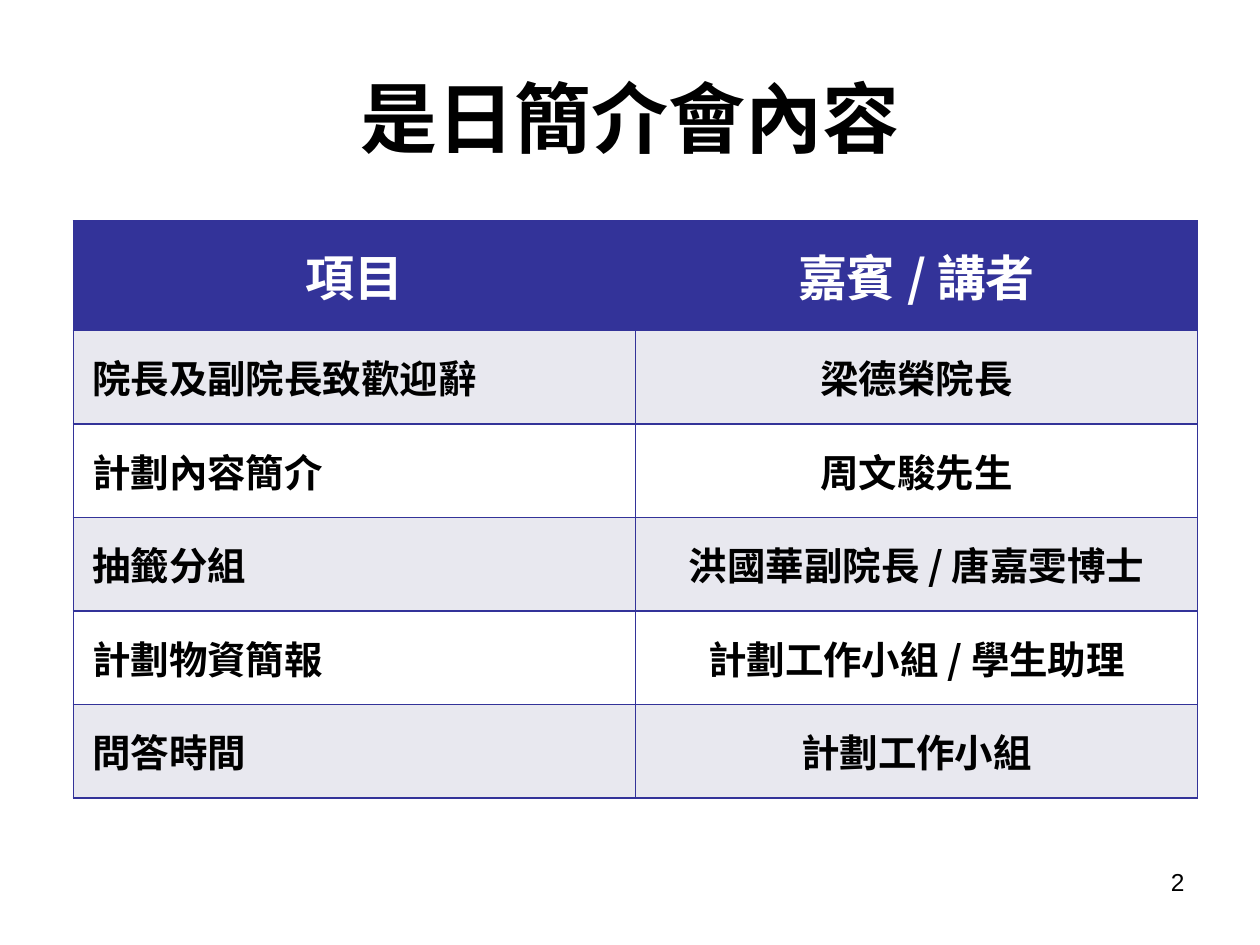
from lxml.etree import SubElement
from pptx import Presentation
from pptx.dml.color import RGBColor
from pptx.enum.text import MSO_ANCHOR, PP_ALIGN
from pptx.oxml.ns import qn
from pptx.util import Cm, Pt

COLORS = {"ink": "000000", "white": "FFFFFF", "navy": "333399", "band": "E8E8EF"}
CJK = "Noto Sans CJK TC"
ROWS = [
    ("項目", "嘉賓 / 講者"),
    ("院長及副院長致歡迎辭", "梁德榮院長"),
    ("計劃內容簡介", "周文駿先生"),
    ("抽籤分組", "洪國華副院長 / 唐嘉雯博士"),
    ("計劃物資簡報", "計劃工作小組 / 學生助理"),
    ("問答時間", "計劃工作小組"),
]


def color(name):
    return RGBColor.from_string(COLORS[name])


def set_text(frame, text, size, align, ink="ink", face=CJK, bold=True):
    frame.text = text
    line = frame.paragraphs[0]
    line.alignment = align
    for run in line.runs:
        font = run.font
        font.size, font.bold, font.name = Pt(size), bold, face
        font.color.rgb = color(ink)
        SubElement(font._element, qn("a:ea"), typeface=face)


def add_text(slide, box, text, size, align, anchor=MSO_ANCHOR.TOP, **style):
    frame = slide.shapes.add_textbox(*map(Cm, box)).text_frame
    frame.word_wrap = True
    frame.vertical_anchor = anchor
    set_text(frame, text, size, align, **style)


def add_edges(cell):
    """Draw a thin navy line on each side of the cell."""
    props = cell._tc.get_or_add_tcPr()
    for at, side in enumerate(("lnL", "lnR", "lnT", "lnB")):
        edge = props.makeelement(qn(f"a:{side}"), {"w": str(Pt(1))})
        fill = SubElement(edge, qn("a:solidFill"))
        SubElement(fill, qn("a:srgbClr"), val=COLORS["navy"])
        props.insert(at, edge)


def fill_cell(cell, text, row, col):
    head = row == 0
    cell.margin_left = cell.margin_right = Cm(0.38)
    cell.margin_top = cell.margin_bottom = Cm(0.38)
    cell.fill.solid()
    shade = "navy" if head else "band" if row % 2 else "white"
    cell.fill.fore_color.rgb = color(shade)
    align = PP_ALIGN.CENTER if head or col else PP_ALIGN.LEFT
    set_text(cell.text_frame, text, 28 if head else 22, align,
             ink="white" if head else "ink")
    add_edges(cell)


def add_agenda(slide):
    box = map(Cm, (1.48, 4.45, 22.66, 11.64))
    table = slide.shapes.add_table(len(ROWS), 2, *box).table
    for col in table.columns:
        col.width = Cm(11.33)
    for r, texts in enumerate(ROWS):
        table.rows[r].height = Cm(1.885 if r else 2.21)
        for c, text in enumerate(texts):
            fill_cell(table.cell(r, c), text, r, c)


def main():
    deck = Presentation()
    deck.slide_width, deck.slide_height = Cm(25.4), Cm(19.05)
    slide = deck.slides.add_slide(deck.slide_layouts[6])
    add_text(slide, (1.27, 0.76, 22.86, 3.18), "是日簡介會內容", 44,
             PP_ALIGN.CENTER, MSO_ANCHOR.MIDDLE)
    add_agenda(slide)
    add_text(slide, (18.21, 17.35, 5.92, 1.32), "2", 14, PP_ALIGN.RIGHT,
             face="Arial", bold=False)
    deck.save("out.pptx")


if __name__ == "__main__":
    main()
